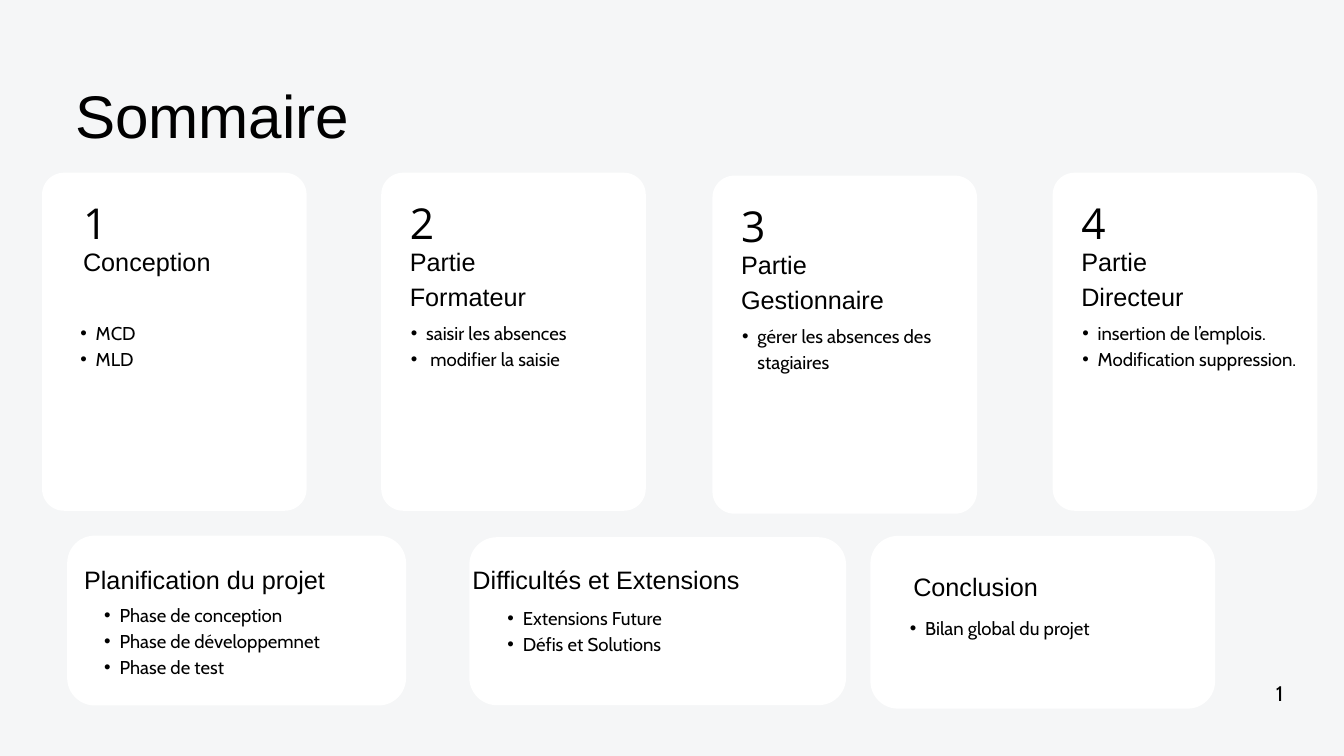
from lxml.etree import SubElement
from pptx import Presentation
from pptx.dml.color import RGBColor
from pptx.enum.shapes import MSO_SHAPE
from pptx.enum.text import PP_ALIGN
from pptx.oxml.ns import qn
from pptx.util import Cm, Pt

# Content
TITLE = "Sommaire"
PAGE_NUMBER = "1"

# Upper row: card left and top, insets of heading and bullets, then the words
PARTS = [
    (1.59, 6.53, 1.55, 0.84, "1", ["Conception"], ["MCD", "MLD"]),
    (14.41, 6.53, 1.08, 0.51, "2", ["Partie", "Formateur"],
     ["saisir les absences", " modifier la saisie"]),
    (26.93, 6.64, 1.08, 0.51, "3", ["Partie", "Gestionnaire"],
     ["gérer les absences des stagiaires"]),
    (39.79, 6.53, 1.08, 0.51, "4", ["Partie", "Directeur"],
     ["insertion de l’emplois.", "Modification suppression."]),
]

# Lower row: card box, heading position, bullets position, then the words
CLOSING_PARTS = [
    ((2.54, 20.25, 12.81, 6.42), (3.18, 21.15), (3.33, 22.7),
     "Planification du projet",
     ["Phase de conception", "Phase de développemnet", "Phase de test"]),
    ((17.74, 20.31, 14.24, 6.35), (17.86, 21.15), (18.57, 22.8),
     "Difficultés et Extensions", ["Extensions Future", "Défis et Solutions"]),
    ((32.9, 20.26, 13.03, 6.53), (34.52, 21.41), (33.78, 23.2),
     "Conclusion", ["Bilan global du projet"]),
]

# Style
COLORS = {"background": "F5F6F7", "card": "FFFFFF", "text": "000000"}
# Font, size and line spacing in points
STYLES = {
    "title": ("Arial", 64.5, 90.4),
    "number": ("Open Sans", 45.6, 63.8),
    "heading": ("Arial", 27, 37.8),
    "bullet": ("Cabin", 19.9, 27.8),
    "page": ("Cabin", 22.6, 31.6),
}
PART_WIDTH, PART_HEIGHT = 10, 12.78
PART_RADIUS, CLOSING_RADIUS = 0.83, 1.04
NUMBER_DROP, HEADING_DROP, BULLETS_DROP = 0.61, 2.59, 5.51

presentation = Presentation()
presentation.slide_width = Cm(50.8)
presentation.slide_height = Cm(28.58)
slide = presentation.slides.add_slide(presentation.slide_layouts[6])
slide.background.fill.solid()
slide.background.fill.fore_color.rgb = RGBColor.from_string(COLORS["background"])


def add_card(left, top, width, height, radius):
    card = slide.shapes.add_shape(MSO_SHAPE.ROUNDED_RECTANGLE,
                                  Cm(left), Cm(top), Cm(width), Cm(height))
    card.adjustments[0] = radius / min(width, height)
    card.shadow.inherit = False
    card.fill.solid()
    card.fill.fore_color.rgb = RGBColor.from_string(COLORS["card"])
    card.line.fill.background()


def add_lines(left, top, width, lines, style, align=PP_ALIGN.LEFT):
    font_name, size, spacing = STYLES[style]
    height = Pt(spacing * len(lines))
    frame = slide.shapes.add_textbox(Cm(left), Cm(top), Cm(width), height).text_frame
    frame.word_wrap = True
    frame.margin_left = frame.margin_right = 0
    frame.margin_top = frame.margin_bottom = 0
    frame.text = "\n".join(lines)
    for paragraph in frame.paragraphs:
        paragraph.alignment = align
        paragraph.line_spacing = Pt(spacing)
        if style == "bullet":
            paragraph.level = 1
            properties = paragraph._p.get_or_add_pPr()
            properties.set("marL", str(Cm(1.19)))
            properties.set("indent", str(Cm(-0.58)))
            SubElement(properties, qn("a:buFont"), typeface="Arial")
            SubElement(properties, qn("a:buChar"), char="•")
        for run in paragraph.runs:
            run.font.name = font_name
            run.font.size = Pt(size)
            run.font.color.rgb = RGBColor.from_string(COLORS["text"])


# Title
add_lines(2.84, 2.49, 24.08, [TITLE], "title")

# Numbered parts
for left, top, heading_inset, bullets_inset, number, heading, bullets in PARTS:
    add_card(left, top, PART_WIDTH, PART_HEIGHT, PART_RADIUS)
    for inset, drop, lines, style in [
        (heading_inset, NUMBER_DROP, [number], "number"),
        (heading_inset, HEADING_DROP, heading, "heading"),
        (bullets_inset, BULLETS_DROP, bullets, "bullet"),
    ]:
        add_lines(left + inset, top + drop, PART_WIDTH - inset, lines, style)

# Closing parts
for card_box, heading_at, bullets_at, heading, bullets in CLOSING_PARTS:
    add_card(*card_box, CLOSING_RADIUS)
    right = card_box[0] + card_box[2]
    add_lines(*heading_at, right - heading_at[0], [heading], "heading")
    add_lines(*bullets_at, right - bullets_at[0], bullets, "bullet")

# Page number
add_lines(26.87, 25.58, 21.64, [PAGE_NUMBER], "page", PP_ALIGN.RIGHT)

presentation.save("out.pptx")
